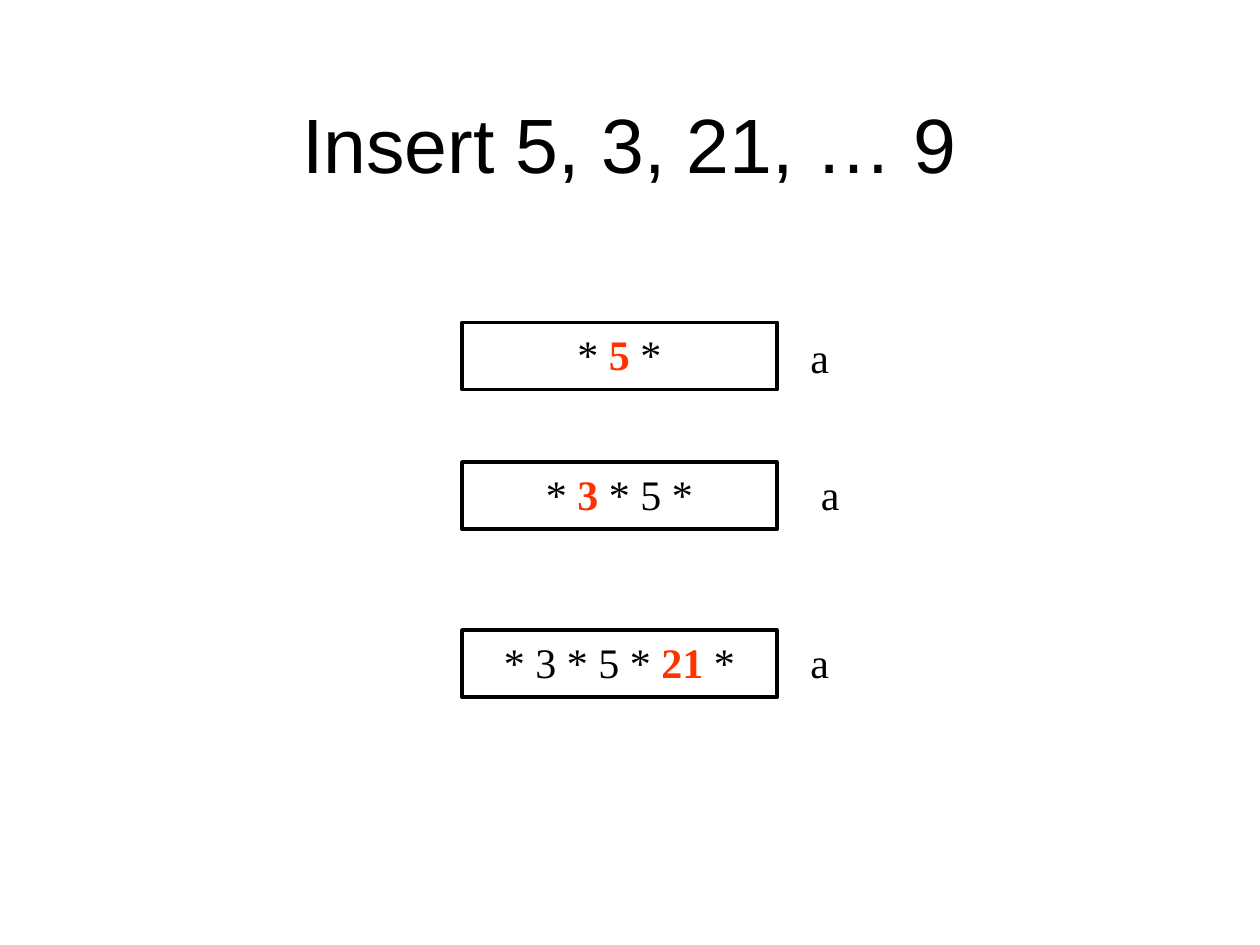
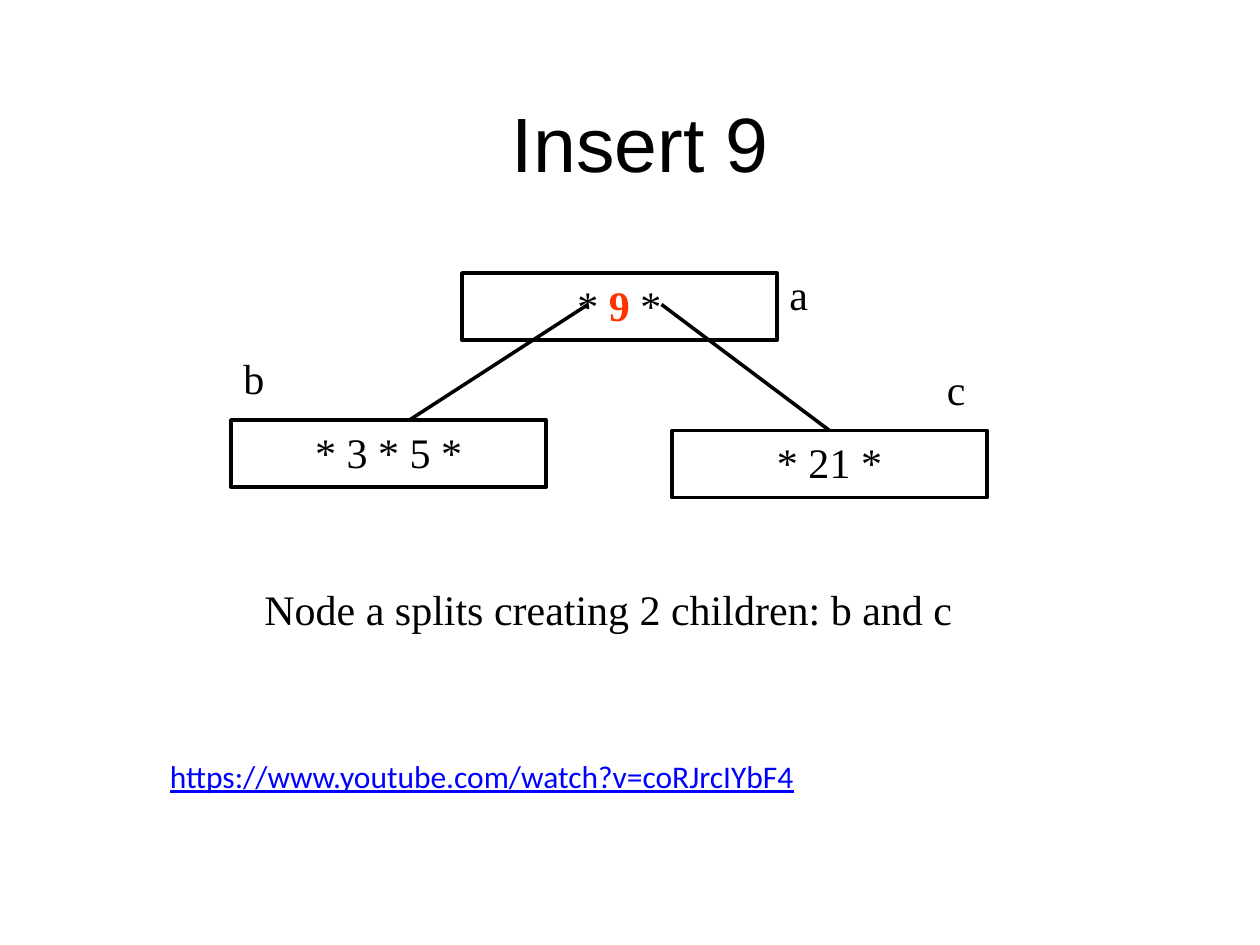
"""Build two slides that show keys being inserted into a B-tree node."""
import pptx
import pptx.util
import pptx.dml.color
import pptx.enum.shapes
import pptx.enum.text
import pptx.oxml.ns
import lxml.etree

BLACK = pptx.dml.color.RGBColor(0x00, 0x00, 0x00)
RED = pptx.dml.color.RGBColor(0xFF, 0x33, 0x00)
BLUE = pptx.dml.color.RGBColor(0x00, 0x00, 0xFF)
SERIF = "Times New Roman"
LEFT = pptx.enum.text.PP_ALIGN.LEFT
MID = pptx.enum.text.PP_ALIGN.CENTER
RECT = pptx.enum.shapes.MSO_SHAPE.RECTANGLE
STROKE = pptx.util.Pt(2)
WIDE, HIGH = 30, 6.4
SIDE = 6

deck = pptx.Presentation()
deck.slide_width = pptx.util.Inches(10)
deck.slide_height = pptx.util.Inches(7.5)
COL = deck.slide_width / 120
ROW = deck.slide_height / 90


def put(slide, text, col, row, wide, high, size=24, face=SERIF, align=LEFT, color=BLACK):
    """Add a text box whose text sits at the top left of its grid cells."""
    box = slide.shapes.add_textbox(int(col * COL), int(row * ROW), int(wide * COL), int(high * ROW))
    frame = box.text_frame
    frame.word_wrap = True
    frame.text = text
    para = frame.paragraphs[0]
    para.alignment = align
    font = para.runs[0].font
    font.size, font.name, font.color.rgb = pptx.util.Pt(size), face, color
    return box


def node(slide, parts, col, row):
    """Add a framed node; every second part is a newly placed key."""
    box = slide.shapes.add_shape(RECT, int(col * COL), int(row * ROW), int(WIDE * COL), int(HIGH * ROW))
    box.shadow.inherit = False
    box.fill.background()
    box.line.color.rgb, box.line.width = BLACK, STROKE
    frame = box.text_frame
    frame.word_wrap = True
    frame.vertical_anchor = pptx.enum.text.MSO_ANCHOR.TOP
    para = frame.paragraphs[0]
    para.alignment = MID
    for spot, part in enumerate(parts):
        run = para.add_run()
        run.text = part
        fresh = spot % 2 == 1
        run.font.size, run.font.name = pptx.util.Pt(24), SERIF
        run.font.bold = fresh
        run.font.color.rgb = RED if fresh else BLACK


pages = [
    (
        ("Insert 5, 3, 21, … 9", 6, 6.1, 108, 15),
        [
            (("* ", "5", " *"), 44, 30.7),
            (("* ", "3", " * 5 *"), 44, 44),
            (("* 3 * 5 * ", "21", " *"), 44, 60),
        ],
        [],
        [("a", 76, 31), ("a", 77, 44), ("a", 76, 60)],
    ),
    (
        ("Insert 9", 10, 8, 102, 11),
        [
            (("* ", "9", " *"), 44, 26),
            (("* 3 * 5 *",), 22, 40),
            (("* 21 *",), 64, 41),
        ],
        [(56, 29, 39, 40), (63, 29, 79, 41)],
        [("a", 74, 25), ("b", 22, 33), ("c", 89, 34)],
    ),
]

for title, nodes, links, names in pages:
    slide = deck.slides.add_slide(deck.slide_layouts[6])
    head = put(slide, *title, size=44, face="Arial", align=MID)
    head.text_frame.vertical_anchor = pptx.enum.text.MSO_ANCHOR.MIDDLE
    for parts, col, row in nodes:
        node(slide, parts, col, row)
    for x1, y1, x2, y2 in links:
        link = slide.shapes.add_connector(
            pptx.enum.shapes.MSO_CONNECTOR.STRAIGHT,
            int(x1 * COL), int(y1 * ROW), int(x2 * COL), int(y2 * ROW))
        link.line.color.rgb, link.line.width = BLACK, STROKE
        lxml.etree.SubElement(link._element.spPr, pptx.oxml.ns.qn("a:effectLst"))
    for name, col, row in names:
        put(slide, name, col, row, SIDE, SIDE)

put(slide, "Node a splits creating 2 children: b and c", 24, 55, 72, SIDE)
site = put(slide, "https://www.youtube.com/watch?v=coRJrcIYbF4", 15, 71.5, 79, 8.5,
           size=18, face="Calibri", color=BLUE)
site.text_frame.paragraphs[0].runs[0].font.underline = True

deck.save("out.pptx")
